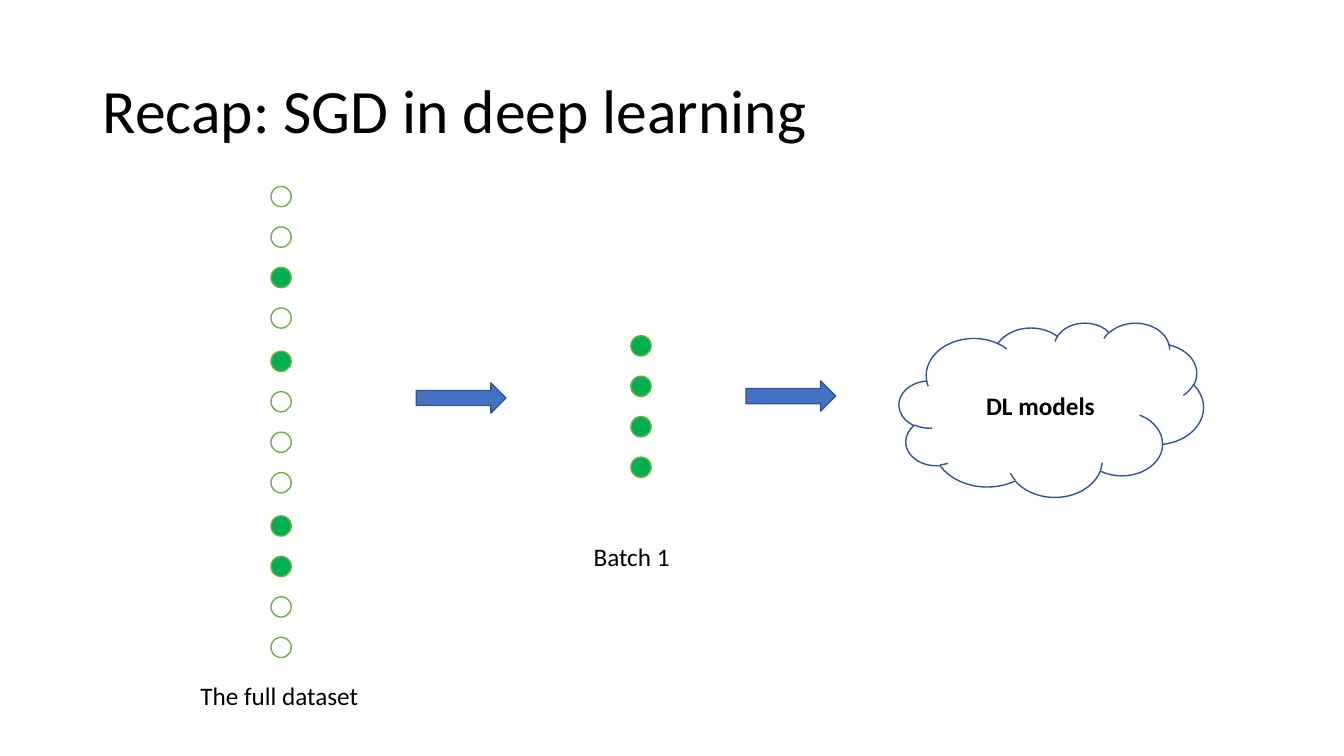
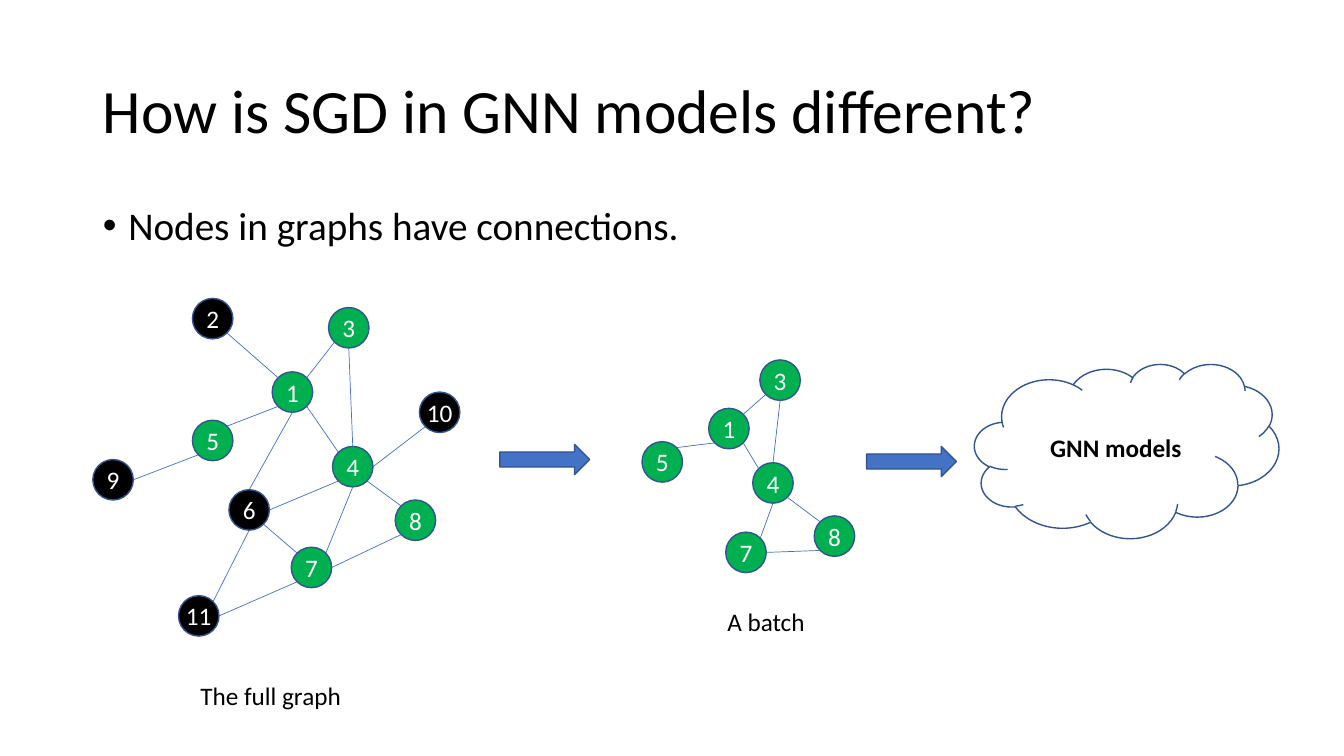
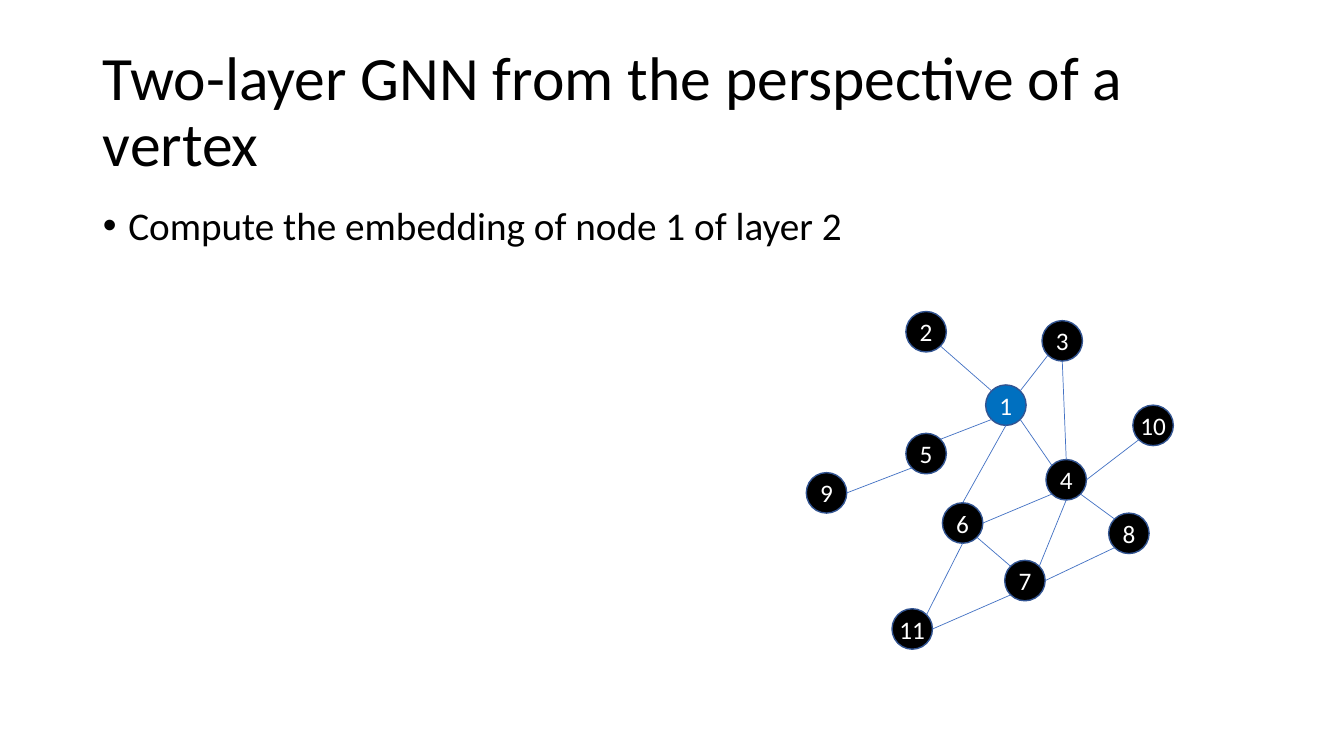
import math
from dataclasses import dataclass

import lxml.etree
import pptx
import pptx.dml.color
import pptx.enum.shapes
import pptx.enum.text
import pptx.oxml.ns
import pptx.util

Cm, Pt = pptx.util.Cm, pptx.util.Pt
SHAPE = pptx.enum.shapes.MSO_SHAPE
ALIGN = pptx.enum.text.PP_ALIGN
ANCHOR = pptx.enum.text.MSO_ANCHOR
AUTOSIZE = pptx.enum.text.MSO_AUTO_SIZE
qn = pptx.oxml.ns.qn


@dataclass(frozen=True)
class Theme:
    font: str = "Calibri"
    black: str = "000000"
    white: str = "FFFFFF"
    green: str = "00B050"
    dot_line: str = "70AD47"
    blue: str = "4472C4"
    outline: str = "325491"
    target: str = "0070C0"
    title_pt: int = 44
    body_pt: int = 28
    label_pt: int = 18
    outline_pt: float = 1
    edge_pt: float = 0.5


THEME = Theme()

# All lengths are centimetres.
SLIDE_SIZE = (33.87, 19.05)
TITLE_BOX = (2.34, 1.02, 29.21, 3.68)
BODY_BOX = (2.34, 5.08, 29.21, 12.09)
BULLET_INDENT = 0.64
ARROW_SIZE = (2.26, 0.76)
CLOUD_SIZE = (7.67, 4.39)
CAPTION_HEIGHT = 1.02
NODE_SIZE = 1.02
DOT_SIZE, DOT_PITCH = 0.51, 1.02

# Dots of the full dataset in blocks; True marks a sampled one.
DATASET = [
    (False, False, True, False),
    (True, False, False, False),
    (True, True, False, False),
]
DATASET_AT, BLOCK_PITCH = (6.83, 4.7), 4.15
BATCH_DOTS_AT = (15.9, 8.46)

FULL_GRAPH = {
    1: (6.86, 9.37), 2: (4.85, 7.52), 3: (8.28, 7.75), 4: (8.38, 11.25),
    5: (4.85, 10.59), 6: (5.77, 12.34), 7: (7.34, 13.79), 8: (9.96, 12.6),
    9: (2.34, 11.58), 10: (10.57, 9.88), 11: (4.5, 15.01),
}
BATCH_GRAPH = {
    1: (17.86, 10.29), 3: (19.15, 9.07), 4: (18.97, 11.66),
    5: (16.18, 11.13), 7: (18.29, 13.41), 8: (20.52, 13.0),
}
VERTEX_VIEW_SHIFT = (17.98, 0.33)

# Connection sites of an ellipse, counter-clockwise from the top.
SITES = ["N", "NW", "W", "SW", "S", "SE", "E", "NE"]
EDGES = [
    (3, "SW", 1, "NE"), (2, "SE", 1, "NW"), (1, "SW", 5, "NE"),
    (1, "SE", 4, "NW"), (6, "E", 4, "SW"), (3, "S", 4, "N"),
    (9, "E", 5, "SW"), (6, "SE", 7, "NW"), (8, "SW", 7, "E"),
    (4, "SE", 8, "NW"), (1, "S", 6, "N"), (4, "S", 7, "NE"),
    (4, "E", 10, "SW"), (11, "NE", 6, "S"), (11, "E", 7, "SW"),
]


def rgb(color):
    return pptx.dml.color.RGBColor.from_string(color)


def cm(*lengths):
    return [Cm(length) for length in lengths]


def write(tf, text, size=THEME.label_pt, color=THEME.black, bold=False,
          align=ALIGN.LEFT, anchor=ANCHOR.TOP, spacing=1.0, bullet=False):
    tf.vertical_anchor = anchor
    p = tf.paragraphs[0]
    p.alignment, p.line_spacing, p.space_before = align, spacing, Pt(0)
    if bullet:
        pPr = p._p.get_or_add_pPr()
        pPr.set("marL", str(Cm(BULLET_INDENT)))
        pPr.set("indent", str(-Cm(BULLET_INDENT)))
        lxml.etree.SubElement(pPr, qn("a:buFont"), typeface="Arial")
        lxml.etree.SubElement(pPr, qn("a:buChar"), char="•")
    r = p.add_run()
    r.text = text
    r.font.name, r.font.size, r.font.bold = THEME.font, Pt(size), bold
    r.font.color.rgb = rgb(color)


def add_shape(shapes, kind, box, fill=None, line=THEME.outline):
    sp = shapes.add_shape(kind, *cm(*box))
    sp.shadow.inherit = False
    if fill:
        sp.fill.solid()
        sp.fill.fore_color.rgb = rgb(fill)
    else:
        sp.fill.background()
    sp.line.color.rgb = rgb(line)
    sp.line.width = Pt(THEME.outline_pt)
    return sp


def place(sp, box):
    sp.left, sp.top, sp.width, sp.height = cm(*box)
    sp.text_frame.word_wrap = True
    sp.text_frame.auto_size = AUTOSIZE.NONE


def add_slide(prs, title, bullet=None):
    """Title-only slide, or title and content when there is a bullet."""
    s = prs.slides.add_slide(prs.slide_layouts[1 if bullet else 5])
    place(s.shapes.title, TITLE_BOX)
    write(s.shapes.title.text_frame, title, size=THEME.title_pt,
          anchor=ANCHOR.MIDDLE, spacing=0.9)
    if bullet:
        body = s.placeholders[1]
        place(body, BODY_BOX)
        write(body.text_frame, bullet, size=THEME.body_pt, spacing=0.9, bullet=True)
    return s


def add_arrow(s, x, y):
    add_shape(s.shapes, SHAPE.RIGHT_ARROW, (x, y, *ARROW_SIZE), THEME.blue)


def add_cloud(s, x, y, text):
    sp = add_shape(s.shapes, SHAPE.CLOUD, (x, y, *CLOUD_SIZE))
    write(sp.text_frame, text, bold=True, align=ALIGN.CENTER, anchor=ANCHOR.MIDDLE)


def add_caption(s, x, y, width, text):
    tf = s.shapes.add_textbox(*cm(x, y, width, CAPTION_HEIGHT)).text_frame
    tf.word_wrap = False
    tf.auto_size = AUTOSIZE.SHAPE_TO_FIT_TEXT
    write(tf, text)


def add_dots(s, x, y, sampled_flags):
    for i, sampled in enumerate(sampled_flags):
        add_shape(s.shapes, SHAPE.OVAL, (x, y + i * DOT_PITCH, DOT_SIZE, DOT_SIZE),
                  THEME.green if sampled else THEME.white, THEME.dot_line)


def add_node(shapes, number, x, y, fill):
    sp = add_shape(shapes, SHAPE.OVAL, (x, y, NODE_SIZE, NODE_SIZE), fill)
    tf = sp.text_frame
    tf.word_wrap = False
    tf.margin_left = tf.margin_right = tf.margin_top = tf.margin_bottom = 0
    write(tf, str(number), color=THEME.white, align=ALIGN.CENTER, anchor=ANCHOR.MIDDLE)
    return sp


def site_point(x, y, site):
    angle = math.radians(90 + 45 * SITES.index(site))
    radius = NODE_SIZE / 2
    return x + radius * (1 + math.cos(angle)), y + radius * (1 - math.sin(angle))


def add_edge(shapes, start, end, ends):
    """Straight line from start to end, glued to the (node, site) pairs in ends."""
    line = shapes.add_connector(pptx.enum.shapes.MSO_CONNECTOR.STRAIGHT,
                                *cm(*start, *end))
    line.line.color.rgb = rgb(THEME.blue)
    line.line.width = Pt(THEME.edge_pt)
    lxml.etree.SubElement(line._element.spPr, qn("a:effectLst"))
    glue = line._element.find(".//" + qn("p:cNvCxnSpPr"))
    for tag, (node, site) in zip(("a:stCxn", "a:endCxn"), ends):
        lxml.etree.SubElement(glue, qn(tag), id=str(node.shape_id),
                              idx=str(SITES.index(site)))


def add_graph(s, positions, fills, shift=(0, 0)):
    """Group of nodes, black unless in fills, and the edges among them."""
    shapes = s.shapes.add_group_shape().shapes
    at = {n: (x + shift[0], y + shift[1]) for n, (x, y) in positions.items()}
    nodes = {n: add_node(shapes, n, *xy, fills.get(n, THEME.black))
             for n, xy in at.items()}
    for a, site_a, b, site_b in EDGES:
        if a in nodes and b in nodes:
            add_edge(shapes, site_point(*at[a], site_a), site_point(*at[b], site_b),
                     ((nodes[a], site_a), (nodes[b], site_b)))


def deep_learning_slide(prs):
    s = add_slide(prs, "Recap: SGD in deep learning")
    x, y = DATASET_AT
    for i, block in enumerate(DATASET):
        add_dots(s, x, y + i * BLOCK_PITCH, block)
    add_dots(s, *BATCH_DOTS_AT, [True] * sum(map(sum, DATASET)))
    add_arrow(s, 10.49, 9.65)
    add_arrow(s, 18.8, 9.6)
    add_cloud(s, 22.66, 8.13, "DL models")
    add_caption(s, 14.71, 13.51, 2.44, "Batch 1")
    add_caption(s, 4.8, 17.02, 4.55, "The full dataset")


def gnn_slide(prs):
    s = add_slide(prs, "How is SGD in GNN models different?",
                  "Nodes in graphs have connections.")
    sampled = dict.fromkeys(BATCH_GRAPH, THEME.green)
    add_graph(s, FULL_GRAPH, sampled)
    add_graph(s, BATCH_GRAPH, sampled)
    add_arrow(s, 12.6, 11.2)
    add_arrow(s, 21.84, 11.25)
    add_cloud(s, 24.56, 9.17, "GNN models")
    add_caption(s, 4.8, 17.02, 4.09, "The full graph")
    add_caption(s, 18.08, 15.16, 2.49, "A batch")


def vertex_slide(prs):
    s = add_slide(prs, "Two-layer GNN from the perspective of a vertex",
                  "Compute the embedding of node 1 of layer 2")
    add_graph(s, FULL_GRAPH, {1: THEME.target}, VERTEX_VIEW_SHIFT)


def main():
    prs = pptx.Presentation()
    prs.slide_width, prs.slide_height = cm(*SLIDE_SIZE)
    deep_learning_slide(prs)
    gnn_slide(prs)
    vertex_slide(prs)
    prs.save("out.pptx")


if __name__ == "__main__":
    main()
